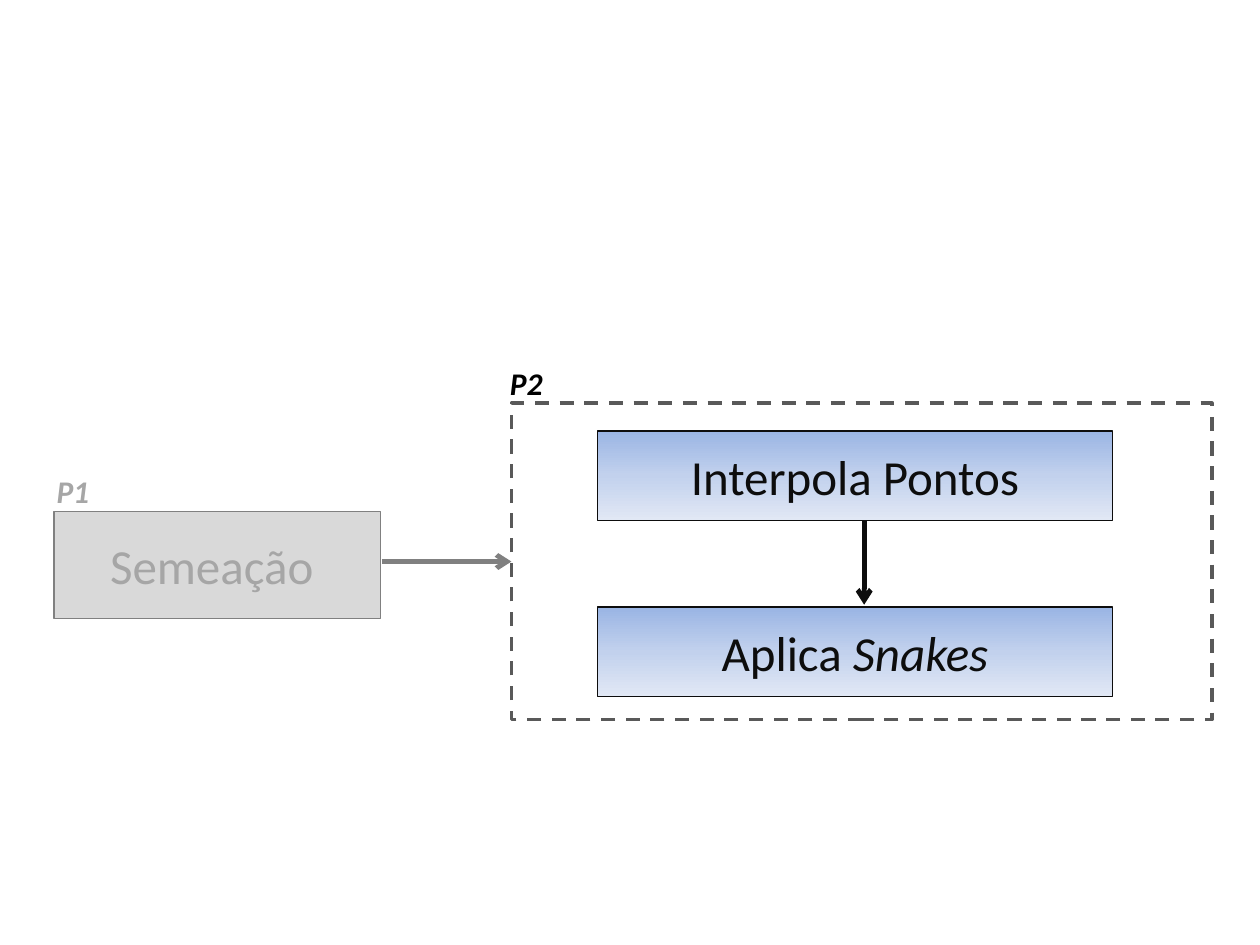
from copy import deepcopy

from lxml.etree import SubElement
from pptx import Presentation
from pptx.dml.color import RGBColor
from pptx.enum.dml import MSO_LINE_DASH_STYLE as Dash
from pptx.enum.shapes import MSO_CONNECTOR as Connector, MSO_SHAPE as Shape
from pptx.enum.text import MSO_ANCHOR as Anchor, MSO_AUTO_SIZE as AutoSize, PP_ALIGN as Align
from pptx.oxml.ns import qn
from pptx.util import Cm, Pt

COLORS = {
    "ink": "0D0D0D",
    "black": "000000",
    "frame": "595959",
    "muted_line": "808080",
    "muted_text": "A6A6A6",
    "muted_fill": "D9D9D9",
    "blue_top": "9AB5E4",
    "blue_middle": "C2D1ED",
    "blue_bottom": "E1E8F5",
}
STEP_GRADIENT = ((0, "blue_top"), (0.5, "blue_middle"), (1, "blue_bottom"))


def color(name):
    return RGBColor.from_string(COLORS[name])


class FlowDiagram:
    font_name = "Calibri"
    box_size = 28
    label_size = 18

    def __init__(self, slide):
        self.slide = slide

    def style_font(self, font, size, color_name):
        font.name = self.font_name
        font.size = Pt(size)
        font.color.rgb = color(color_name)

    def rectangle(self, left, top, width, height, line_color, line_width=0.75):
        shape = self.slide.shapes.add_shape(
            Shape.RECTANGLE, Cm(left), Cm(top), Cm(width), Cm(height))
        shape.shadow.inherit = False
        shape.fill.background()
        shape.line.color.rgb = color(line_color)
        shape.line.width = Pt(line_width)
        return shape

    def dashed_frame(self, left, top, width, height):
        shape = self.rectangle(left, top, width, height, "frame", 2)
        shape.line.dash_style = Dash.DASH
        return shape

    def centre_text(self, shape, runs, color_name):
        """Centre the (text, italic) runs in the shape."""
        shape.text_frame.vertical_anchor = Anchor.MIDDLE
        paragraph = shape.text_frame.paragraphs[0]
        paragraph.alignment = Align.CENTER
        self.style_font(paragraph.font, self.box_size, color_name)
        for text, italic in runs:
            run = paragraph.add_run()
            run.text = text
            if italic:
                run.font.italic = True

    def muted_box(self, left, top, width, height, text):
        shape = self.rectangle(left, top, width, height, "muted_line")
        shape.fill.solid()
        shape.fill.fore_color.rgb = color("muted_fill")
        self.centre_text(shape, [(text, False)], "muted_text")

    def step_box(self, top, runs):
        shape = self.rectangle(12.04, top, 10.39, 1.8, "ink")
        shape.fill.gradient()
        shape.fill.gradient_angle = 270
        first_stop = next(shape._element.spPr.iter(qn("a:gs")))
        first_stop.addnext(deepcopy(first_stop))
        for stop, (position, name) in zip(shape.fill.gradient_stops, STEP_GRADIENT):
            stop.position = position
            stop.color.rgb = color(name)
        self.centre_text(shape, runs, "ink")

    def label(self, left, top, text, color_name):
        box = self.slide.shapes.add_textbox(Cm(left), Cm(top), Cm(1.17), Cm(1.02))
        box.text_frame.word_wrap = False
        box.text_frame.auto_size = AutoSize.SHAPE_TO_FIT_TEXT
        paragraph = box.text_frame.paragraphs[0]
        paragraph.text = text
        self.style_font(paragraph.font, self.label_size, color_name)
        paragraph.font.bold = True
        paragraph.font.italic = True

    def arrow(self, start, end, color_name):
        connector = self.slide.shapes.add_connector(
            Connector.STRAIGHT, *(Cm(value) for value in start + end))
        connector.line.color.rgb = color(color_name)
        connector.line.width = Pt(2.75)
        line = connector._element.spPr.find(qn("a:ln"))
        SubElement(line, qn("a:tailEnd"), type="arrow")
        SubElement(connector._element.spPr, qn("a:effectLst"))
        return connector


def main():
    presentation = Presentation()
    presentation.slide_width = Cm(25.4)
    presentation.slide_height = Cm(19.05)
    diagram = FlowDiagram(presentation.slides.add_slide(presentation.slide_layouts[6]))

    diagram.muted_box(1.09, 10.31, 6.58, 2.16, "Semeação ")
    diagram.label(0.89, 9.4, "P1", "muted_text")

    diagram.label(10.03, 7.21, "P2", "black")
    frame = diagram.dashed_frame(10.31, 8.13, 14.12, 6.38)
    diagram.arrow((17.42, 10.11), (17.42, 12.19), "ink")
    diagram.step_box(12.24, [("Aplica ", False), ("Snakes", True)])
    diagram.step_box(8.69, [("Interpola Pontos", False)])

    to_frame = diagram.arrow((7.7, 11.32), (10.31, 11.32), "muted_line")
    to_frame.end_connect(frame, 1)

    presentation.save("out.pptx")


if __name__ == "__main__":
    main()
